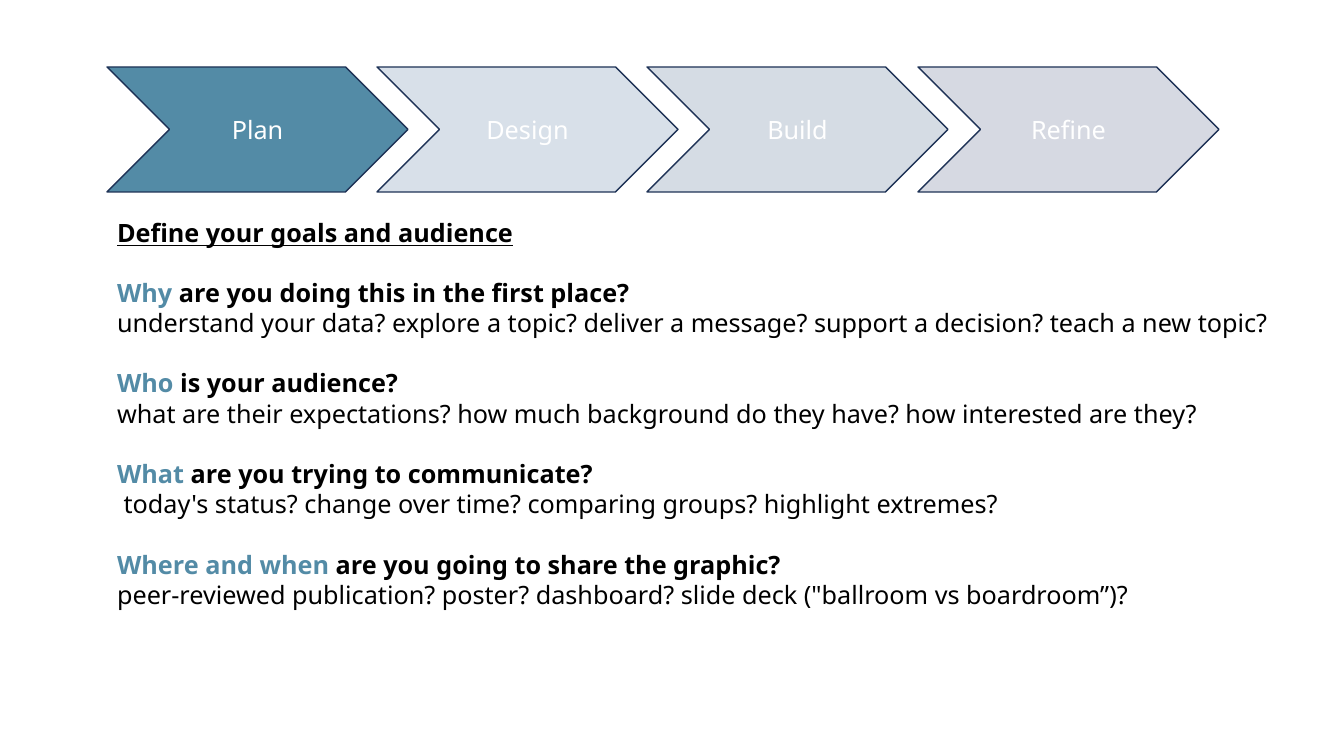
"""Build the planning-stage slide of a design process deck."""
from dataclasses import dataclass

from lxml import etree
from pptx import Presentation
from pptx.dml.color import RGBColor
from pptx.enum.shapes import MSO_SHAPE
from pptx.enum.text import MSO_ANCHOR, MSO_AUTO_SIZE, PP_ALIGN
from pptx.oxml.ns import qn
from pptx.util import Pt

CHEVRON = MSO_SHAPE.CHEVRON
LEFT, CENTER = PP_ALIGN.LEFT, PP_ALIGN.CENTER
TOP, MIDDLE = MSO_ANCHOR.TOP, MSO_ANCHOR.MIDDLE
NO_FIT = MSO_AUTO_SIZE.NONE
EMU_PER_PX = 914400 / 100.8
TITLE_AND_CONTENT = 1


@dataclass(frozen=True)
class Theme:
    """Colours, font and type sizes of the slide."""
    font: str = "Noto Sans"
    size: float = 18
    leading: float = 21.6
    ink: str = "000000"
    accent: str = "538BA6"
    outline: str = "1E3256"
    white: str = "FFFFFF"
    faded_alpha: int = 20


THEME = Theme()

STAGES = [
    ("Plan", THEME.accent),
    ("Design", "3D6892"),
    ("Build", "2F517B"),
    ("Refine", "324370"),
]
CURRENT_STAGE = "Plan"

QUESTIONS = [
    ("Why", " are you doing this in the first place?",
     "understand your data? explore a topic? deliver a message? "
     "support a decision? teach a new topic?"),
    ("Who", " is your audience?",
     "what are their expectations? how much background do they have? "
     "how interested are they?"),
    ("What", " are you trying to communicate?",
     " today's status? change over time? comparing groups? highlight extremes?"),
    ("Where and when ", "are you going to share the graphic?",
     "peer-reviewed publication? poster? dashboard? "
     "slide deck (\"ballroom vs boardroom”)?"),
]


def px(length):
    """Turn pixels into EMU."""
    return round(length * EMU_PER_PX)


def add_span(para, text, color, bold=False, underline=False):
    """Add one formatted run to a paragraph."""
    span = para.add_run()
    span.text = text
    font = span.font
    font.name, font.size = THEME.font, Pt(THEME.size)
    font.bold, font.underline = bold, underline
    font.color.rgb = RGBColor.from_string(color)


def format_para(para, space_before=0):
    """Set a left-aligned paragraph without bullet or indent."""
    para.alignment = LEFT
    para.line_spacing = Pt(THEME.leading)
    para.space_before = Pt(space_before)
    para.space_after = Pt(0)
    properties = para._p.get_or_add_pPr()
    properties.set("marL", "0")
    properties.set("indent", "0")
    etree.SubElement(properties, qn("a:buNone"))


def place_text(box, left, top, width, height):
    """Move a placeholder and return its top-anchored text frame."""
    box.left, box.top = px(left), px(top)
    box.width, box.height = px(width), px(height)
    frame = box.text_frame
    frame.word_wrap = True
    frame.auto_size = NO_FIT
    frame.vertical_anchor = TOP
    return frame


def fill_title(box):
    """Write the underlined heading."""
    para = place_text(box, 107, 212, 1224, 40).paragraphs[0]
    format_para(para)
    add_span(para, "Define your goals and audience", THEME.ink, True, True)


def fill_questions(box):
    """Write each question with its prompts below it."""
    frame = place_text(box, 107, 272, 1224, 347)
    for index, (keyword, rest, prompts) in enumerate(QUESTIONS):
        question = frame.add_paragraph() if index else frame.paragraphs[0]
        format_para(question, THEME.leading if index else 0)
        add_span(question, keyword, THEME.accent, bold=True)
        add_span(question, rest, THEME.ink, bold=True)
        answer = frame.add_paragraph()
        format_para(answer)
        add_span(answer, prompts, THEME.ink)


def add_stage(page, left, label, color):
    """Add one process chevron, faded unless it is the current stage."""
    chevron = page.shapes.add_shape(CHEVRON, px(left), px(67), px(301), px(125))
    chevron.shadow.inherit = False
    chevron.fill.solid()
    chevron.fill.fore_color.rgb = RGBColor.from_string(color)
    chevron.line.color.rgb = RGBColor.from_string(THEME.outline)
    chevron.line.width = Pt(1)
    if label != CURRENT_STAGE:
        tint = chevron._element.spPr.find(qn("a:solidFill"))[0]
        alpha = etree.SubElement(tint, qn("a:alpha"))
        alpha.set("val", str(THEME.faded_alpha * 1000))
    chevron.text_frame.vertical_anchor = MIDDLE
    para = chevron.text_frame.paragraphs[0]
    para.alignment = CENTER
    add_span(para, label, THEME.white)


def main():
    """Assemble and save the deck."""
    deck = Presentation()
    deck.slide_width, deck.slide_height = px(1344), px(756)
    page = deck.slides.add_slide(deck.slide_layouts[TITLE_AND_CONTENT])
    for index, (label, color) in enumerate(STAGES):
        add_stage(page, 107 + index * 811 // 3, label, color)
    fill_title(page.shapes.title)
    fill_questions(page.placeholders[1])
    deck.save("out.pptx")


if __name__ == "__main__":
    main()
